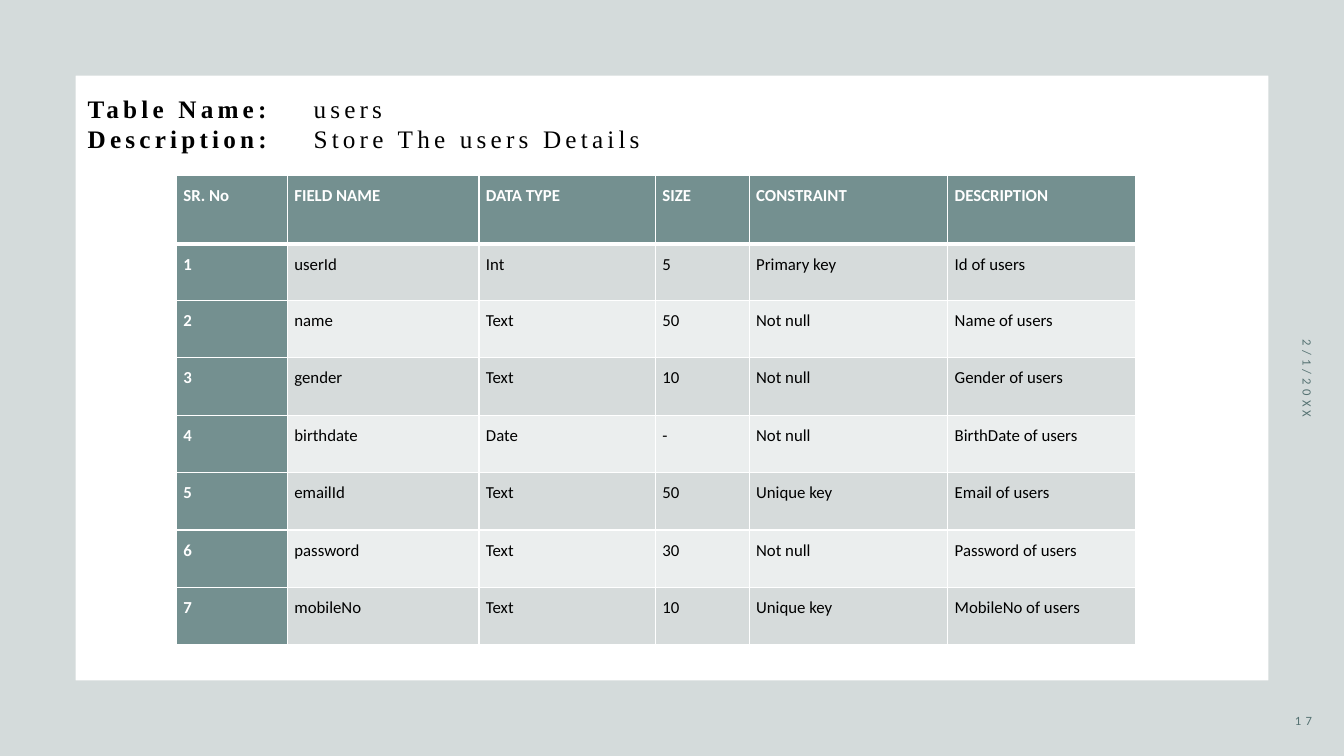
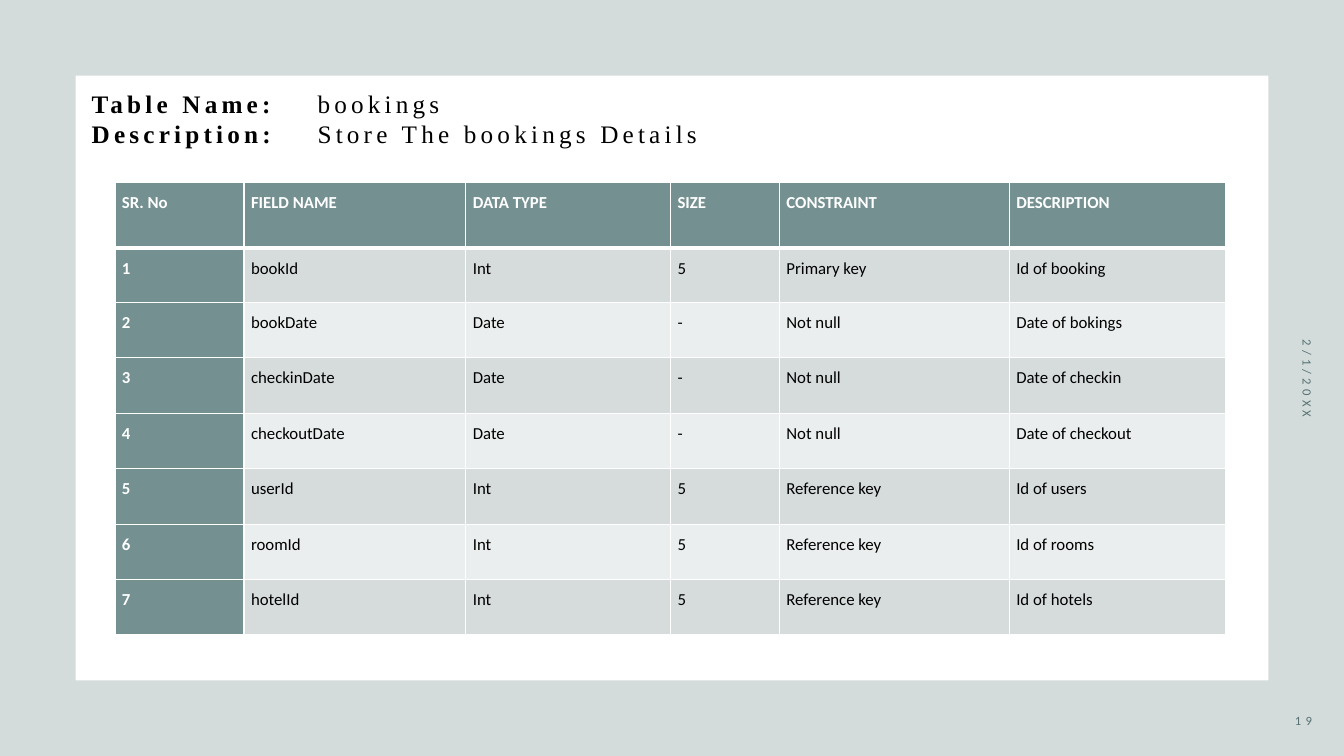
from dataclasses import dataclass

from lxml import etree
from pptx import Presentation
from pptx.dml.color import RGBColor
from pptx.enum import text
from pptx.oxml import ns
from pptx.util import Pt

PX = 9144


@dataclass(frozen=True)
class Theme:
    tint: str = "557272"
    head: str = "749090"
    odd: str = "D6DBDB"
    even: str = "EBEEEE"
    white: str = "FFFFFF"
    black: str = "000000"
    serif: str = "Times New Roman"
    sans: str = "Calibri"
    title: int = 18
    body: int = 12
    small: int = 9
    space: int = 3
    alpha: int = 25


@dataclass(frozen=True)
class Box:
    left: int
    top: int
    width: int
    height: int


@dataclass(frozen=True)
class Page:
    name: str
    number: int
    title: Box
    grid: Box
    cols: list[int]
    rows: list[int]
    fields: list[str]


THEME = Theme()
WIDTH, HEIGHT = 1333, 750
PANEL = Box(75, 75, 1183, 600)
DATE = Box(1072, 353, 450, 45)
NUMBER = Box(1216, 695, 95, 40)
TAB = 224
INSET = 7
HEADS = ["SR. No", "FIELD NAME", "DATA TYPE", "SIZE", "CONSTRAINT", "DESCRIPTION"]

PAGES = [
    Page(
        "users", 17, Box(87, 87, 1100, 71), Box(175, 174, 951, 466),
        [110, 190, 175, 93, 197, 186], [68, 56] + [57] * 6,
        [
            "userId|Int|5|Primary key|Id of users",
            "name|Text|50|Not null|Name of users",
            "gender|Text|10|Not null|Gender of users",
            "birthdate|Date|-|Not null|BirthDate of users",
            "emailId|Text|50|Unique key|Email of users",
            "password|Text|30|Not null|Password of users",
            "mobileNo|Text|10|Unique key|MobileNo of users",
        ],
    ),
    Page(
        "bookings", 19, Box(91, 82, 1100, 71), Box(114, 181, 1102, 449),
        [128, 220, 203, 108, 228, 215], [65, 54] + [55] * 6,
        [
            "bookId|Int|5|Primary key|Id of booking",
            "bookDate|Date|-|Not null|Date of bokings",
            "checkinDate|Date|-|Not null|Date of checkin",
            "checkoutDate|Date|-|Not null|Date of checkout",
            "userId|Int|5|Reference key|Id of users",
            "roomId|Int|5|Reference key|Id of rooms",
            "hotelId|Int|5|Reference key|Id of hotels",
        ],
    ),
]


def scale(box: Box) -> list[int]:
    return [side * PX for side in (box.left, box.top, box.width, box.height)]


def style(run, face: str, size: int, color: str, bold: bool = False, space: int = 0) -> None:
    run.font.name = face
    run.font.size = Pt(size)
    run.font.bold = bold
    run.font.color.rgb = RGBColor.from_string(color)
    if space:
        run._r.get_or_add_rPr().set("spc", str(space * 100))


def add_box(slide, box: Box):
    shape = slide.shapes.add_textbox(*scale(box))
    frame = shape.text_frame
    frame.word_wrap = True
    frame.vertical_anchor = text.MSO_ANCHOR.MIDDLE
    return shape


def add_frame(slide) -> None:
    right, base = PANEL.left + PANEL.width, PANEL.top + PANEL.height
    pen = slide.shapes.build_freeform(0, 0, scale=PX)
    pen.add_line_segments([(WIDTH, 0), (WIDTH, HEIGHT), (0, HEIGHT)])
    pen.move_to(PANEL.left, PANEL.top)
    pen.add_line_segments([(PANEL.left, base), (right, base), (right, PANEL.top)])
    shape = pen.convert_to_shape()
    shape.shadow.inherit = False
    shape.line.fill.background()
    shape.fill.solid()
    shape.fill.fore_color.rgb = RGBColor.from_string(THEME.tint)
    color = shape._element.spPr.find(ns.qn("a:solidFill"))[0]
    etree.SubElement(color, ns.qn("a:alpha"), val=str(THEME.alpha * 1000))


def add_note(slide, box: Box, words: str, align: text.PP_ALIGN, turn: int = 0) -> None:
    shape = add_box(slide, box)
    shape.rotation = turn
    shape.text_frame.text = words
    para = shape.text_frame.paragraphs[0]
    para.alignment = align
    style(para.runs[0], THEME.sans, THEME.small, THEME.tint, space=THEME.space)


def add_title(slide, page: Page) -> None:
    frame = add_box(slide, page.title).text_frame
    frame.margin_left = frame.margin_right = 0
    frame.text = "Table Name:\nDescription:"
    values = [page.name, f"Store The {page.name} Details"]
    for para, value in zip(frame.paragraphs, values):
        tabs = etree.SubElement(para._p.get_or_add_pPr(), ns.qn("a:tabLst"))
        etree.SubElement(tabs, ns.qn("a:tab"), pos=str(TAB * PX), algn="l")
        para.add_run().text = f"\t{value}"
        for run, bold in zip(para.runs, (True, False)):
            style(run, THEME.serif, THEME.title, THEME.black, bold, THEME.space)


def add_edges(cell, top: int, base: int) -> None:
    props = cell._tc.get_or_add_tcPr()
    for side, width in (("L", 1), ("R", 1), ("T", top), ("B", base)):
        line = etree.SubElement(props, ns.qn(f"a:ln{side}"), w=str(Pt(width)))
        fill = etree.SubElement(line, ns.qn("a:solidFill"))
        etree.SubElement(fill, ns.qn("a:srgbClr"), val=THEME.white)


def fill_cell(cell, words: str, row: int, col: int) -> None:
    strong = row == 0 or col == 0
    cell.margin_left = cell.margin_right = INSET * PX
    cell.margin_top = cell.margin_bottom = 0
    add_edges(cell, 3 if row == 1 else 1, 3 if row == 0 else 1)
    cell.fill.solid()
    shade = THEME.head if strong else THEME.odd if row % 2 else THEME.even
    cell.fill.fore_color.rgb = RGBColor.from_string(shade)
    cell.text_frame.text = words
    para = cell.text_frame.paragraphs[0]
    para.line_spacing = 1.5
    para.space_after = Pt(10)
    color = THEME.white if strong else THEME.black
    style(para.runs[0], THEME.sans, THEME.body, color, strong)


def add_grid(slide, page: Page) -> None:
    lines = [HEADS] + [[str(n), *line.split("|")] for n, line in enumerate(page.fields, 1)]
    table = slide.shapes.add_table(len(lines), len(HEADS), *scale(page.grid)).table
    table.first_col = True
    for col, width in zip(table.columns, page.cols):
        col.width = width * PX
    for row, height in zip(table.rows, page.rows):
        row.height = height * PX
    for r, line in enumerate(lines):
        for c, words in enumerate(line):
            fill_cell(table.cell(r, c), words, r, c)


def main() -> None:
    deck = Presentation()
    deck.slide_width, deck.slide_height = WIDTH * PX, HEIGHT * PX
    for page in PAGES:
        slide = deck.slides.add_slide(deck.slide_layouts[6])
        add_frame(slide)
        add_note(slide, DATE, "2/1/20XX", text.PP_ALIGN.CENTER, 90)
        add_note(slide, NUMBER, str(page.number), text.PP_ALIGN.RIGHT)
        add_grid(slide, page)
        add_title(slide, page)
    deck.save("out.pptx")


if __name__ == "__main__":
    main()
